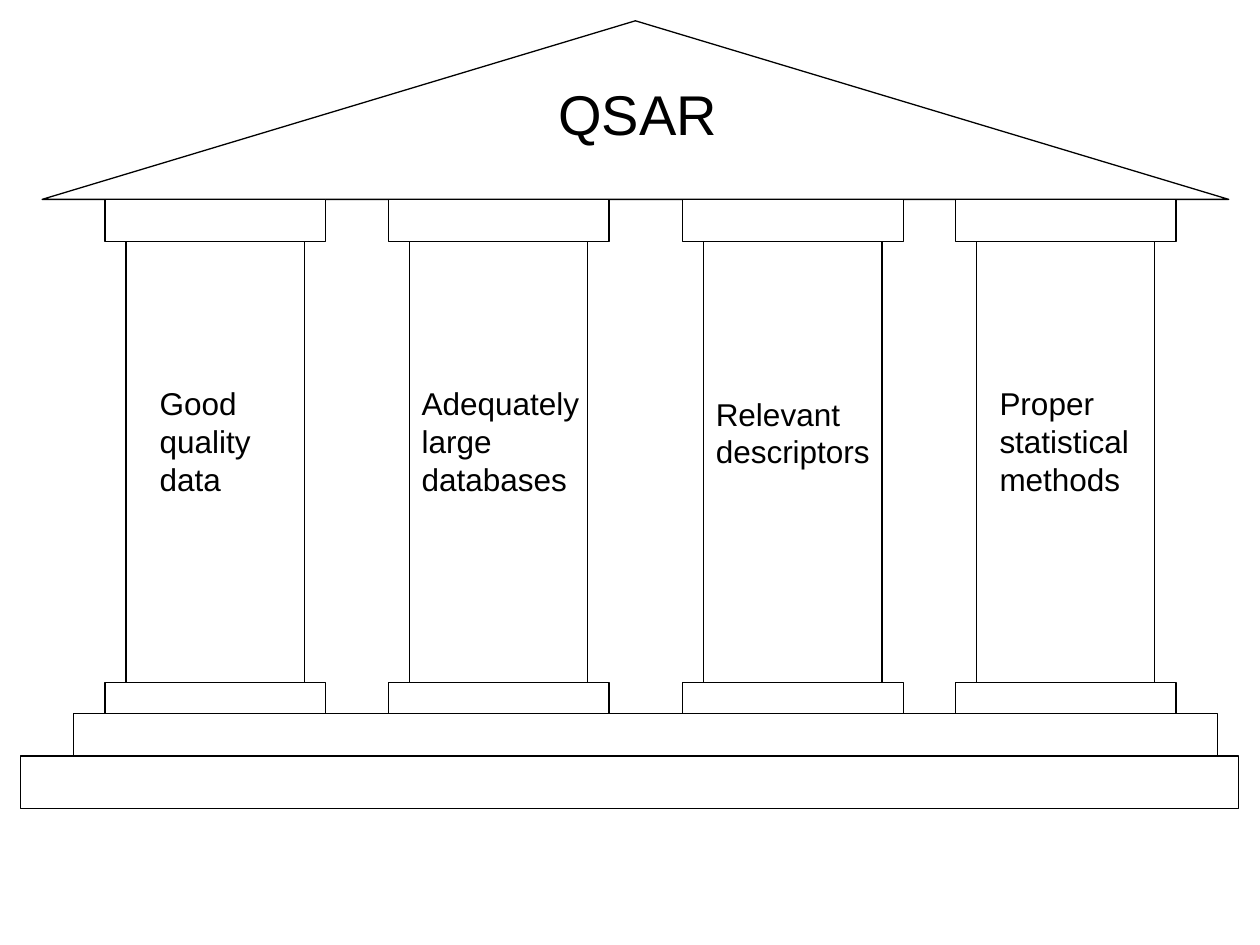
from pptx import Presentation
from pptx.dml.color import RGBColor
from pptx.enum.shapes import MSO_SHAPE
from pptx.enum.text import MSO_ANCHOR, MSO_AUTO_SIZE, PP_ALIGN
from pptx.util import Cm, Pt

BLACK = RGBColor(0, 0, 0)
WHITE = RGBColor(255, 255, 255)
FONT = "Arial"

# Content: lines, left of cap, then label inset, top, width and height (cm)
TITLE = "QSAR"
PILLARS = [
    (["Good quality data"], 2.12, 0.85, 7.62, 2.75, 2.54),
    (["Adequately large databases"], 7.83, 0.42, 7.62, 3.81, 2.54),
    (["Relevant", "descriptors"], 13.76, 0.42, 7.83, 3.81, 1.78),
    (["Proper statistical methods"], 19.26, 0.64, 7.62, 3.81, 2.54),
]
STEPS = [(1.48, 14.39, 23.07, 1.06), (0.42, 15.24, 24.55, 1.06)]

# Sizes (cm)
ROOF = (0.85, 0.42, 23.92, 3.6)
CAP_W, CAP_H, CAP_TOP = 4.45, 0.85, 4.02
SHAFT_W, SHAFT_H = 3.6, 8.89
SHAFT_TOP = CAP_TOP + CAP_H
BASE_TOP = SHAFT_TOP + SHAFT_H


def add_block(shapes, box, kind=MSO_SHAPE.RECTANGLE):
    block = shapes.add_shape(kind, *map(Cm, box))
    block.shadow.inherit = False
    block.fill.solid()
    block.fill.fore_color.rgb = WHITE
    block.line.color.rgb = BLACK
    block.line.width = Pt(0.75)


def set_text(shape, lines, size):
    frame = shape.text_frame
    frame.word_wrap = True
    frame.auto_size = MSO_AUTO_SIZE.NONE
    frame.vertical_anchor = MSO_ANCHOR.TOP
    para = frame.paragraphs[0]
    para.alignment = PP_ALIGN.LEFT
    for i, line in enumerate(lines):
        if i:
            para.add_line_break()
        run = para.add_run()
        run.text = line
        run.font.name = FONT
        run.font.size = Pt(size)
        run.font.color.rgb = BLACK


def main():
    deck = Presentation()
    deck.slide_width, deck.slide_height = Cm(25.4), Cm(19.05)
    slide = deck.slides.add_slide(deck.slide_layouts[5])
    title = slide.shapes.title

    # Roof and pillars
    temple = slide.shapes.add_group_shape().shapes
    add_block(temple, ROOF, MSO_SHAPE.ISOSCELES_TRIANGLE)
    for lines, left, inset, top, width, height in PILLARS:
        add_block(temple, (left, CAP_TOP, CAP_W, CAP_H))
        add_block(temple, (left + 0.42, SHAFT_TOP, SHAFT_W, SHAFT_H))
        add_block(temple, (left, BASE_TOP, CAP_W, CAP_H))
        label = temple.add_textbox(*map(Cm, (left + inset, top, width, height)))
        set_text(label, lines, 18)

    # Steps
    for box in STEPS:
        add_block(slide.shapes, box)

    # Title, brought in front of the roof
    title.left, title.top = Cm(11), Cm(1.48)
    title.width, title.height = Cm(4.02), Cm(1.6)
    set_text(title, [TITLE], 32)
    slide.shapes._spTree.append(title._element)

    deck.save("out.pptx")


if __name__ == "__main__":
    main()
